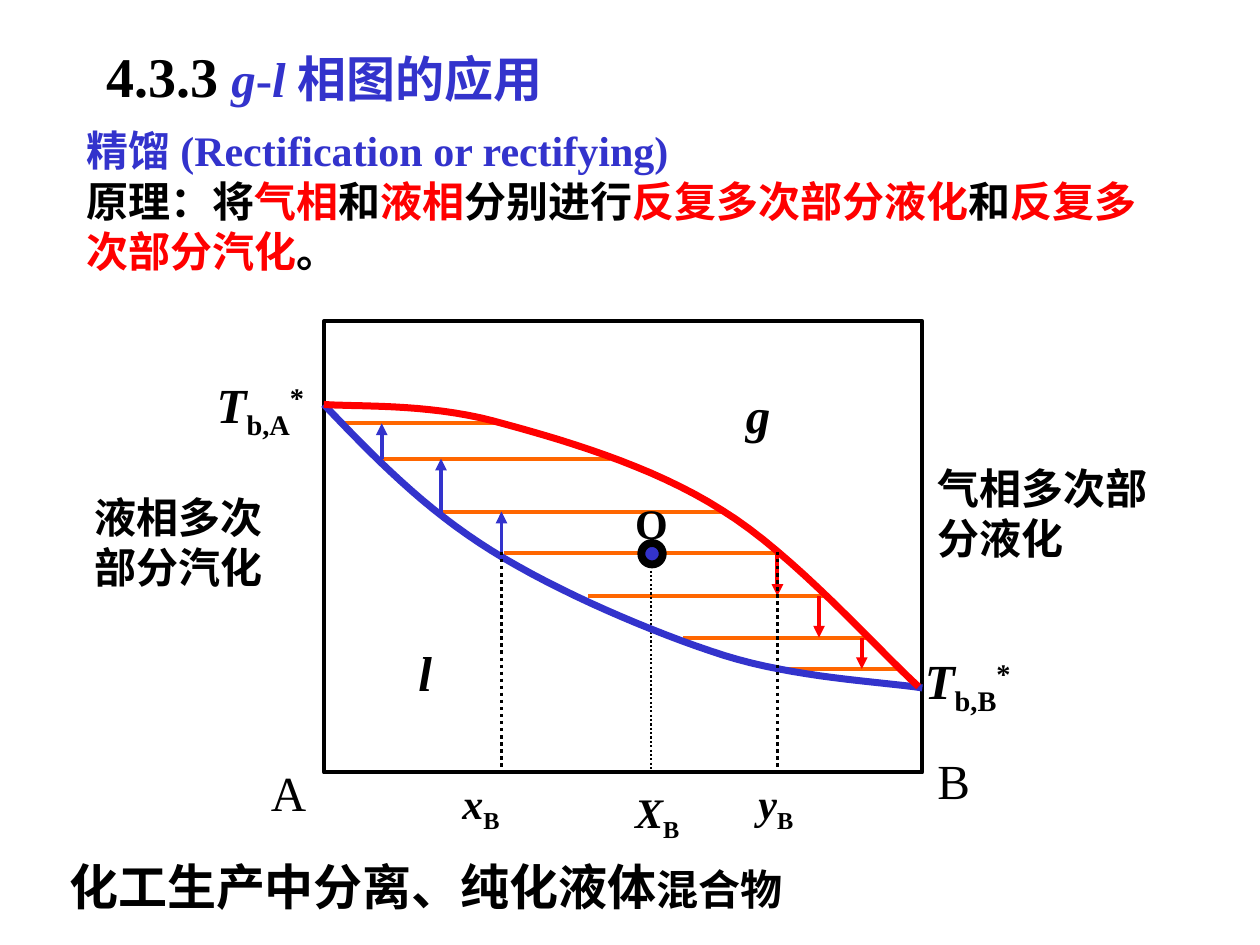
from lxml import etree
from pptx import Presentation
from pptx.dml.color import RGBColor
from pptx.enum.dml import MSO_LINE_DASH_STYLE as Dash
from pptx.enum.shapes import MSO_CONNECTOR as Connector, MSO_SHAPE as Shape
from pptx.oxml.ns import qn
from pptx.util import Inches, Pt

BLACK, BLUE, RED, ORANGE = "000000", "3333CC", "FF0000", "FF6600"
LATIN, CHINESE = "Times New Roman", "Noto Sans CJK SC"

deck = Presentation()
deck.slide_width, deck.slide_height = Inches(10), Inches(7.5)
page = deck.slides.add_slide(deck.slide_layouts[6])
color = RGBColor.from_string


def add_line(x1, y1, x2, y2, hue, width=2.25, dash=None, arrow=False):
    line = page.shapes.add_connector(
        Connector.STRAIGHT, Inches(x1), Inches(y1), Inches(x2), Inches(y2))
    line.line.color.rgb = color(hue)
    line.line.width = Pt(width)
    if dash:
        line.line.dash_style = dash
    if arrow:
        etree.SubElement(line.line._get_or_add_ln(), qn("a:tailEnd"), type="triangle")
    etree.SubElement(line._element.spPr, qn("a:effectLst"))


def add_text(left, top, width, height, *paragraphs, inset=(0, 0), wrap=True):
    """Each run is (text, size, colour, style); style: b bold, i italic, _ sub, ^ super."""
    box = page.shapes.add_textbox(Inches(left), Inches(top), Inches(width), Inches(height))
    frame = box.text_frame
    frame.word_wrap = wrap
    frame.margin_left = frame.margin_right = Inches(inset[0])
    frame.margin_top = frame.margin_bottom = Inches(inset[1])
    for index, runs in enumerate(paragraphs):
        para = frame.add_paragraph() if index else frame.paragraphs[0]
        for text, size, hue, style in runs:
            span = para.add_run()
            span.text = text
            span.font.size = Pt(size)
            span.font.bold = "b" in style
            span.font.italic = "i" in style
            span.font.color.rgb = color(hue)
            span.font.name = LATIN
            props = span._r.get_or_add_rPr()
            etree.SubElement(props, qn("a:ea"), typeface=CHINESE)
            if "_" in style:
                props.set("baseline", "-25000")
            if "^" in style:
                props.set("baseline", "30000")


# Tie lines: left, right, height
for left, right, y in [(2.72, 3.98, 3.36), (3, 4.84, 3.64), (3.5, 5.75, 4.06),
                       (4, 6.17, 4.39), (4.67, 6.59, 4.73), (5.42, 6.92, 5.06),
                       (6.17, 7.17, 5.31)]:
    add_line(left, y, right, y, ORANGE)

# Condensation steps go down, vaporisation steps go up
for hue, steps in [(RED, [(6.17, 4.39, 4.73), (6.5, 4.73, 5.06), (6.84, 5.06, 5.31)]),
                   (BLUE, [(3.98, 4.39, 4.06), (3.5, 4.06, 3.64), (3.03, 3.64, 3.36)])]:
    for x, start, end in steps:
        add_line(x, start, x, end, hue, arrow=True)

# Overall composition line and system point
add_line(5.17, 4.39, 5.17, 6.14, BLACK, 1.25, Dash.ROUND_DOT)
point = page.shapes.add_shape(Shape.OVAL, Inches(5.09), Inches(4.31), Inches(0.17), Inches(0.17))
point.shadow.inherit = False
point.fill.solid()
point.fill.fore_color.rgb = color(BLUE)
point.line.color.rgb = color(BLACK)
point.line.width = Pt(4.5)

# Diagram frame
border = page.shapes.add_shape(
    Shape.RECTANGLE, Inches(2.57), Inches(2.55), Inches(4.75), Inches(3.58))
border.shadow.inherit = False
border.fill.background()
border.line.color.rgb = color(BLACK)
border.line.width = Pt(2.25)

# Liquid and vapour curves: chained cubic Bezier control points
liquid = [(2.57, 3.21), (2.97, 3.63), (3.37, 4.04), (3.9, 4.37), (4.43, 4.7),
          (5.18, 5.02), (5.74, 5.2), (6.31, 5.38), (6.99, 5.41), (7.32, 5.46)]
vapour = [(2.57, 3.21), (2.79, 3.23), (3.38, 3.2), (3.91, 3.34), (4.43, 3.48),
          (5.17, 3.69), (5.73, 4.05), (6.3, 4.4), (6.96, 5.15), (7.29, 5.45)]
STEPS = 16
for hue, controls in [(BLUE, liquid), (RED, vapour)]:
    points = []
    for first in range(0, len(controls) - 1, 3):
        segment = controls[first:first + 4]
        for step in range(1, STEPS + 1):
            t = step / STEPS
            weights = ((1 - t) ** 3, 3 * t * (1 - t) ** 2, 3 * t * t * (1 - t), t ** 3)
            points.append(tuple(
                Inches(sum(w * p[axis] for w, p in zip(weights, segment))) for axis in (0, 1)))
    builder = page.shapes.build_freeform(Inches(controls[0][0]), Inches(controls[0][1]))
    builder.add_line_segments(points, close=False)
    curve = builder.convert_to_shape()
    curve.shadow.inherit = False
    curve.fill.background()
    curve.line.color.rgb = color(hue)
    curve.line.width = Pt(4)

# Dotted lines down to the phase compositions
for x in (3.98, 6.17):
    add_line(x, 4.38, x, 6.09, BLACK, 2, Dash.ROUND_DOT)

# Boiling points of the pure components
for left, top, name in [(1.72, 2.97, "A"), (7.34, 5.16, "B")]:
    add_text(left, top, 1.4, 0.53, [("T", 28, BLACK, "bi"), (f"b,{name}", 28, BLACK, "b_"),
                                    ("*", 28, BLACK, "b^")])

# Components and phases
for left, top, name, style in [(2.15, 6.05, "A", ""), (7.44, 5.96, "B", ""),
                               (5.92, 3.05, "g", "bi"), (3.32, 5.1, "l", "bi")]:
    add_text(left, top, 0.5, 0.47, [(name, 28, BLACK, style)])

# Compositions on the axis
for left, top, name in [(3.67, 6.17, "x"), (5.04, 6.24, "X"), (6.02, 6.17, "y")]:
    add_text(left, top, 1.13, 0.46, [(name, 24, BLACK, "bi"), ("B", 24, BLACK, "b_")])

add_text(5.04, 3.95, 0.26, 0.4, [("O", 24, BLACK, "b")], wrap=False)

# Side remarks and closing line
add_text(7.44, 3.67, 1.75, 0.8, [("气相多次部分液化", 24, BLACK, "b")])
add_text(0.75, 3.9, 1.66, 0.8, [("液相多次部分汽化", 24, BLACK, "b")])
add_text(0.55, 6.8, 8.82, 0.6, [("化工生产中分离、纯化液体", 28, BLACK, "b"),
                                ("混合物", 24, BLACK, "b")])

# Heading and principle
add_text(0.75, 0.28, 4.25, 0.64,
         [("4.3.3", 32, BLACK, "b"), (" ", 28, BLUE, "b"), ("g", 28, BLUE, "bi"),
          ("-", 28, BLUE, "b"), ("l ", 28, BLUE, "bi"), ("相图的应用", 28, BLUE, "b")],
         inset=(0.1, 0.05))
principle = [("原理：将", BLACK), ("气相", RED), ("和", BLACK), ("液相", RED),
             ("分别进行", BLACK), ("反复多次部分液化", RED), ("和", BLACK),
             ("反复多次部分汽化", RED), ("。", BLACK)]
add_text(0.59, 0.94, 8.79, 1.3,
         [("精馏 (Rectification or rectifying)", 24, BLUE, "b")],
         [(text, 24, hue, "b") for text, hue in principle],
         inset=(0.1, 0.05))

deck.save("out.pptx")
